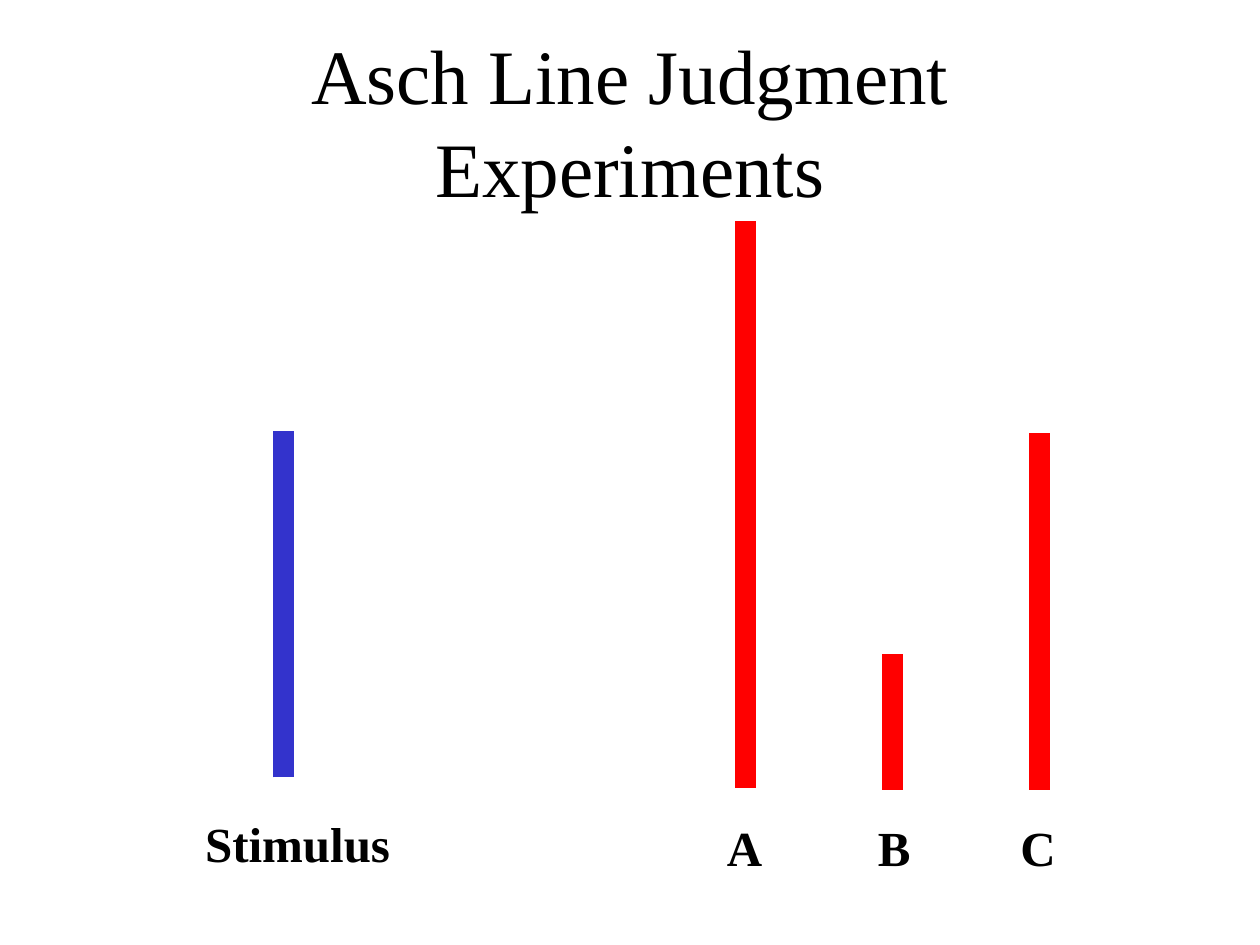
from pptx import Presentation
from pptx.dml.color import RGBColor
from pptx.enum import shapes, text
from pptx.oxml.ns import qn
from pptx.util import Inches, Pt
from lxml import etree

FONT = "Times New Roman"
COLORS = {"stimulus": "3333CC", "choice": "FF0000", "text": "000000"}
TITLE = "Asch Line Judgment Experiments"

# label, colour, line x, line top, line bottom, label box (left, top, width)
BARS = [
    ("Stimulus", "stimulus", 2.25, 3.42, 6.17, (1.53, 6.41, 1.67)),
    ("A", "choice", 5.92, 1.75, 6.25, (5.67, 6.44, 0.48)),
    ("B", "choice", 7.08, 5.19, 6.27, (6.87, 6.44, 0.46)),
    ("C", "choice", 8.25, 3.44, 6.27, (8, 6.44, 0.48)),
]
LABEL_HEIGHT = 0.57


def add_bar(slide, color, x, top, bottom):
    line = slide.shapes.add_connector(
        shapes.MSO_CONNECTOR.STRAIGHT,
        Inches(x), Inches(bottom), Inches(x), Inches(top))
    line.line.color.rgb = RGBColor.from_string(COLORS[color])
    line.line.width = Pt(12)
    etree.SubElement(line._element.spPr, qn("a:effectLst"))


def add_text(slide, words, box, size, bold=False):
    sp = slide.shapes.add_textbox(*map(Inches, box))
    tf = sp.text_frame
    tf.text = words
    tf.word_wrap = False
    r = tf.paragraphs[0].runs[0]
    r.font.name = FONT
    r.font.size = Pt(size)
    r.font.bold = bold
    r.font.color.rgb = RGBColor.from_string(COLORS["text"])
    return tf


prs = Presentation()
prs.slide_width, prs.slide_height = Inches(10), Inches(7.5)
slide = prs.slides.add_slide(prs.slide_layouts[6])

# Lines to compare, each with its label
for label, color, x, top, bottom, box in BARS:
    add_bar(slide, color, x, top, bottom)
    tf = add_text(slide, label, (*box, LABEL_HEIGHT), 28, bold=True)
    tf.auto_size = text.MSO_AUTO_SIZE.SHAPE_TO_FIT_TEXT

# Title, with side margins that break it over two lines
tf = add_text(slide, TITLE, (0.75, 0.33, 8.5, 1.25), 44)
tf.word_wrap = True
tf.margin_left = tf.margin_right = Inches(0.25)
tf.vertical_anchor = text.MSO_ANCHOR.MIDDLE
tf.paragraphs[0].alignment = text.PP_ALIGN.CENTER

prs.save("out.pptx")
